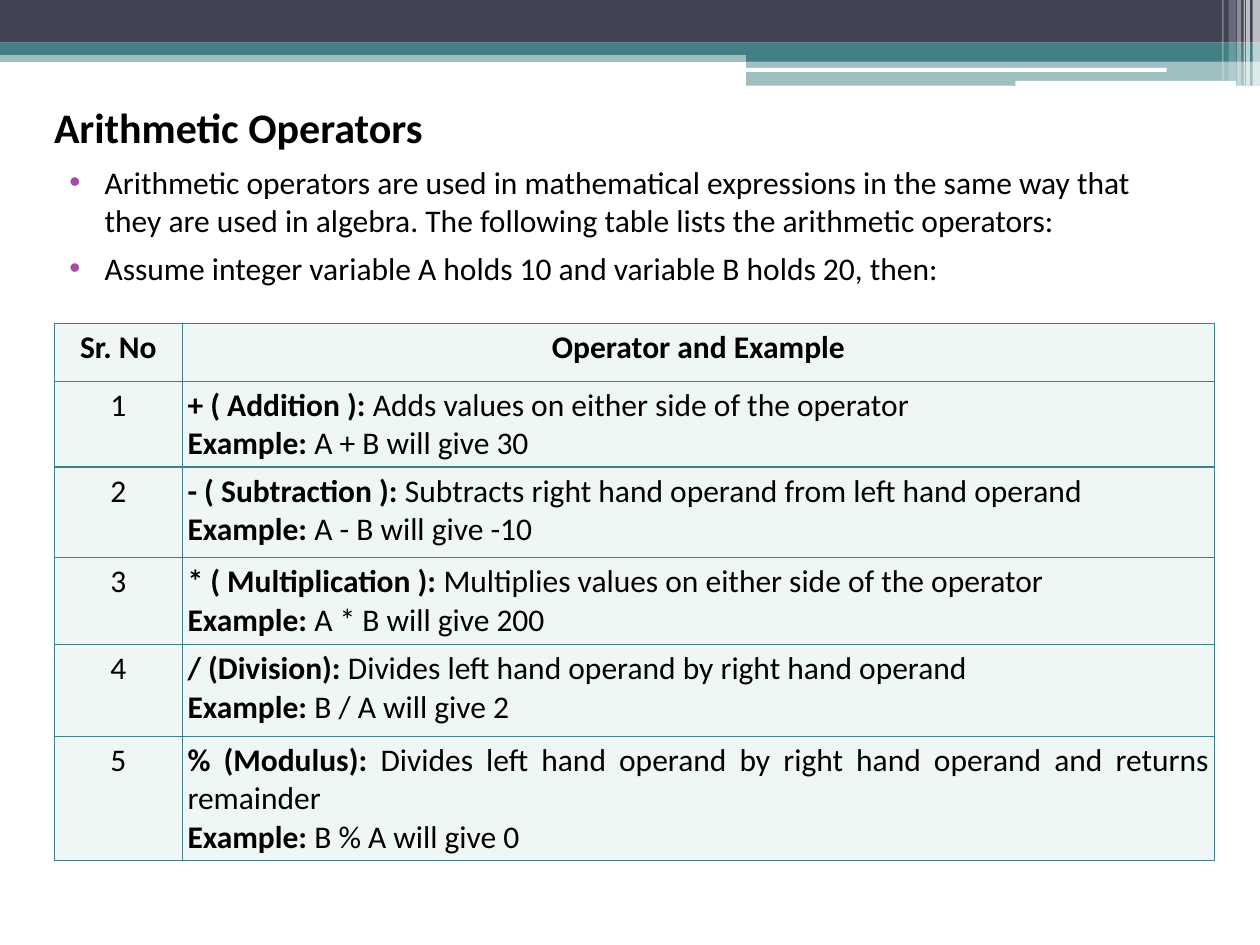
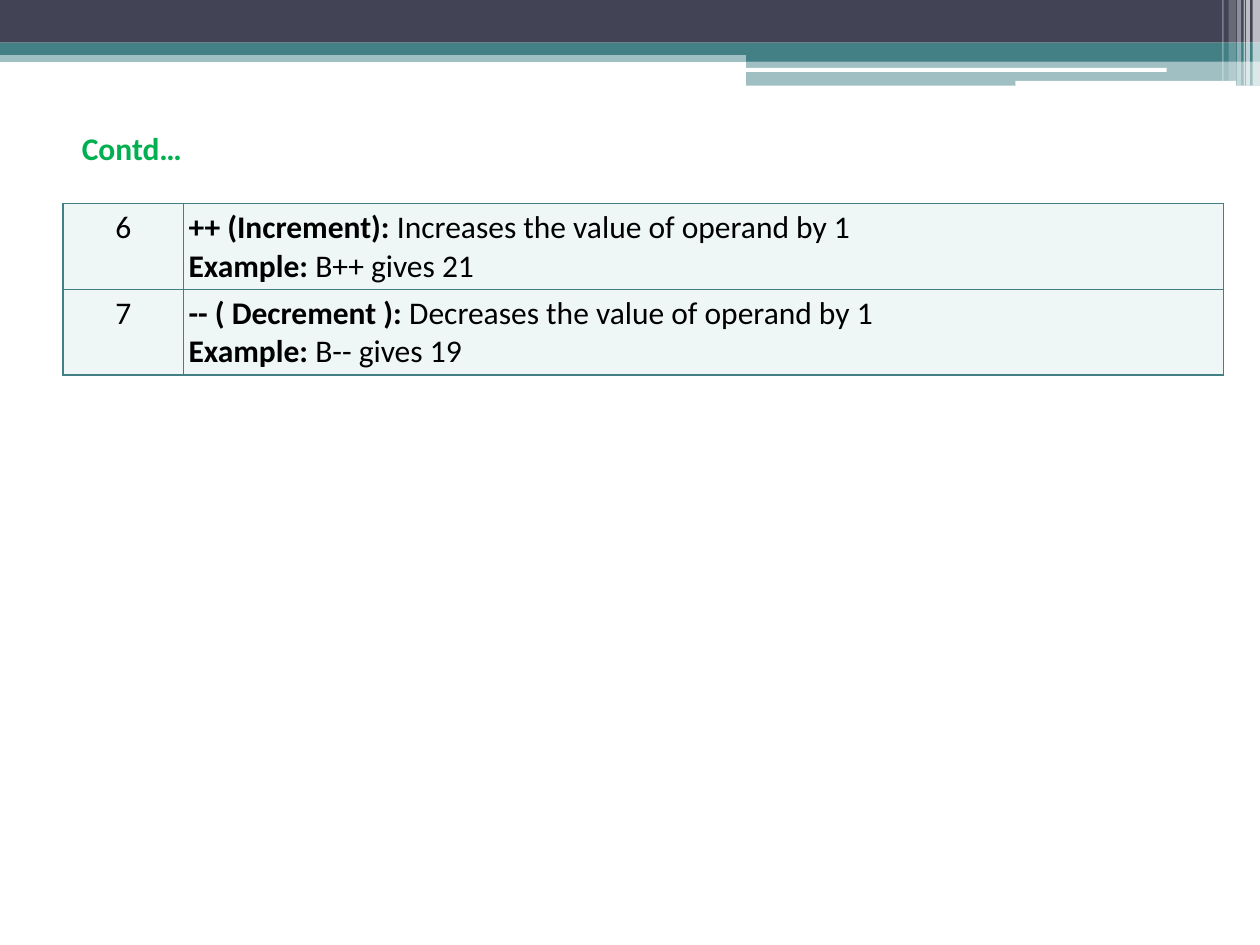
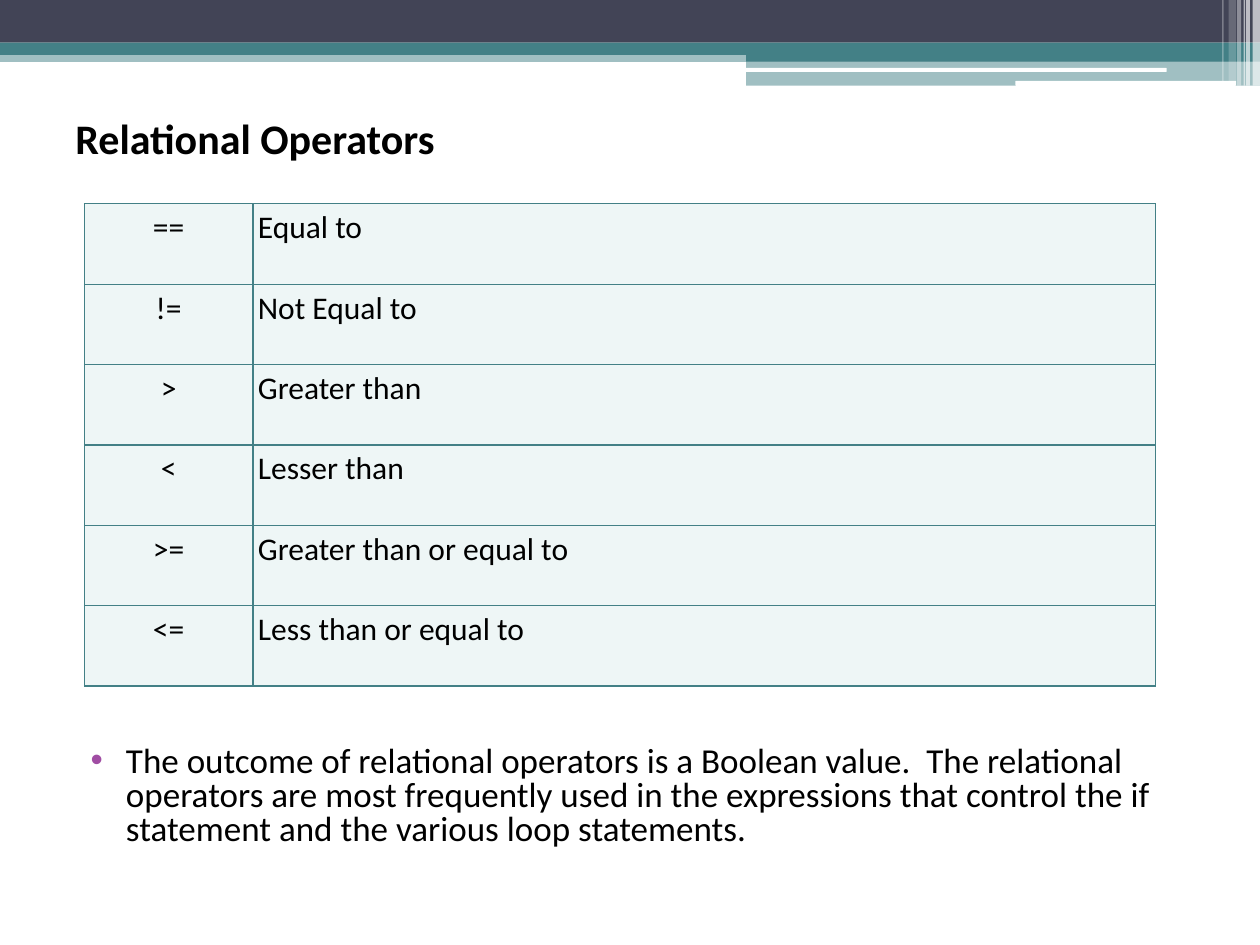
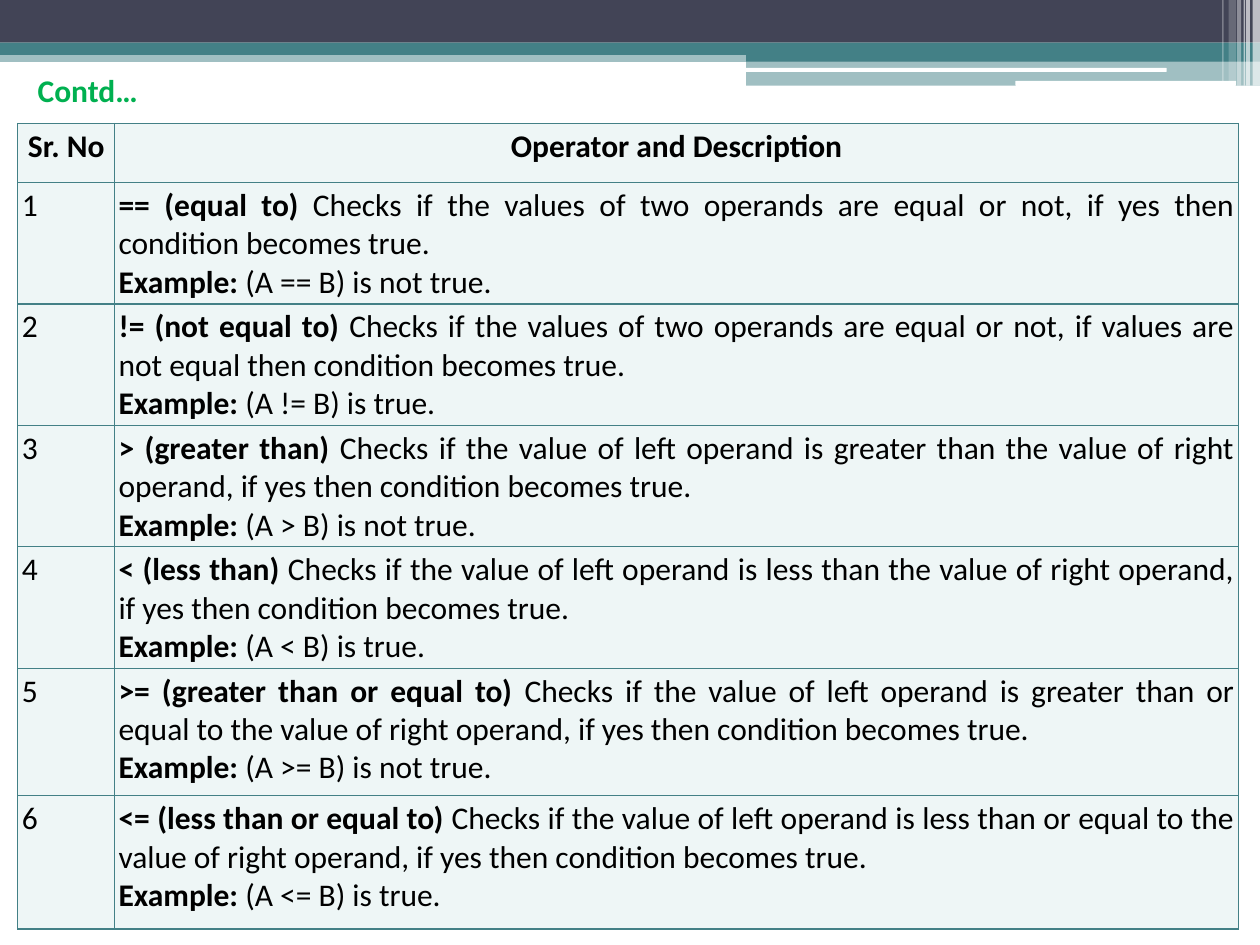
from lxml.etree import SubElement
from pptx import Presentation
from pptx.dml.color import RGBColor
from pptx.enum.shapes import MSO_SHAPE
from pptx.enum.text import MSO_ANCHOR, PP_ALIGN
from pptx.oxml.ns import qn
from pptx.util import Cm, Pt

FONT = "Calibri"
NAVY, TEAL, WHITE, BLACK = "424456", "438086", "FFFFFF", "000000"
GREEN, PURPLE, MINT = "00B050", "A04DA3", "EEF6F6"
NBSP = "\u00a0"


def color(value):
    return RGBColor.from_string(value)


def style_run(r, size, bold=False, fill=BLACK):
    r.font.name = FONT
    r.font.size = Pt(size)
    r.font.bold = bold
    r.font.color.rgb = color(fill)


def add_bar(s, left, top, width, height, fill, opacity=100, kind=MSO_SHAPE.RECTANGLE):
    sp = s.shapes.add_shape(kind, Cm(left), Cm(top), Cm(width), Cm(height))
    sp.shadow.inherit = False
    sp.fill.solid()
    sp.fill.fore_color.rgb = color(fill)
    sp.line.fill.background()
    if opacity < 100:
        clr = sp.element.spPr.find(qn("a:solidFill")).find(qn("a:srgbClr"))
        SubElement(clr, qn("a:alpha"), val=str(opacity * 1000))


def add_band(s, left, top, width):
    tab_width = 10.36
    tab = left + width - tab_width
    add_bar(s, left, top + 1.02, width, 0.23, TEAL, 50)
    add_bar(s, left, top, width, 0.86, NAVY)
    add_bar(s, left, top + 0.86, width, 0.25, TEAL)
    add_bar(s, tab, top + 0.99, tab_width, 0.25, TEAL)
    add_bar(s, tab, top + 1.22, tab_width, 0.51, TEAL, 50)
    add_bar(s, tab - 0.03, top + 1.37, 8.51, 0.08, WHITE, kind=MSO_SHAPE.ROUNDED_RECTANGLE)
    add_bar(s, tab + 5.43, top + 1.63, 4.45, 0.1, WHITE, kind=MSO_SHAPE.ROUNDED_RECTANGLE)
    stripes = [
        (0.15, 0.15, 1.73, 65),
        (0.28, 0.08, 1.73, 65),
        (0.33, 0.03, 1.73, 60),
        (0.46, 0.08, 1.73, 40),
        (0.63, 0.15, 1.63, 20),
        (0.76, 0.03, 1.63, 30),
    ]
    for inset, stripe_width, height, opacity in stripes:
        add_bar(s, left + width - inset, top, stripe_width, height, WHITE, opacity)


def add_text_box(s, left, top, width, height):
    tf = s.shapes.add_textbox(Cm(left), Cm(top), Cm(width), Cm(height)).text_frame
    tf.word_wrap = True
    return tf


def add_bullet(p):
    pPr = p._p.get_or_add_pPr()
    pPr.set("marL", str(Cm(1.02)))
    pPr.set("indent", str(-Cm(0.71)))
    SubElement(SubElement(pPr, qn("a:buClr")), qn("a:srgbClr"), val=PURPLE)
    SubElement(pPr, qn("a:buFont"), typeface="Arial")
    SubElement(pPr, qn("a:buChar"), char="\u2022")


def add_body(s, left, top, width, height, title, bullets, size, first_gap=6, spacing=None):
    tf = add_text_box(s, left, top, width, height)
    for i, text in enumerate([title] + bullets):
        p = tf.paragraphs[0] if i == 0 else tf.add_paragraph()
        p.text = text
        p.space_before = Pt(first_gap if i == 1 else 6)
        if spacing:
            p.line_spacing = spacing
        if i:
            add_bullet(p)
        style_run(p.runs[0], size if i else 24, bold=i == 0)


def add_contd(s, left, top, width, height):
    tf = add_text_box(s, left, top, width, height)
    tf.vertical_anchor = MSO_ANCHOR.MIDDLE
    tf.text = "Contd\u2026"
    style_run(tf.paragraphs[0].runs[0], 18, True, GREEN)


def style_cell(cell, margin):
    cell.margin_left = cell.margin_right = Cm(margin)
    cell.margin_top = cell.margin_bottom = Cm(margin)
    tcPr = cell._tc.get_or_add_tcPr()
    for side in ("lnL", "lnR", "lnT", "lnB"):
        ln = SubElement(tcPr, qn("a:" + side), w=str(Pt(0.75)))
        SubElement(SubElement(ln, qn("a:solidFill")), qn("a:srgbClr"), val=TEAL)
    cell.fill.solid()
    cell.fill.fore_color.rgb = color(MINT)


def fill_cell(cell, lines, align):
    tf = cell.text_frame
    for i, (strong, plain) in enumerate(lines):
        p = tf.paragraphs[0] if i == 0 else tf.add_paragraph()
        p.alignment = align
        for text, bold in ((strong, True), (plain, False)):
            if text:
                r = p.add_run()
                r.text = text
                style_run(r, 18, bold)


def add_operators(s, left, top, columns, heights, rows, header=None,
                  key_align=PP_ALIGN.CENTER, margin=0.1):
    frame = s.shapes.add_table(len(heights), 2, Cm(left), Cm(top),
                               Cm(sum(columns)), Cm(sum(heights)))
    table = frame.table
    table.first_row = table.horz_banding = False
    for column, width in zip(table.columns, columns):
        column.width = Cm(width)
    for row, height in zip(table.rows, heights):
        row.height = Cm(height)
    for cell in table.iter_cells():
        style_cell(cell, margin)
    if header:
        for i, text in enumerate(header):
            fill_cell(table.cell(0, i), [(text, "")], PP_ALIGN.CENTER)
    for i, (key, *lines) in enumerate(rows, 1 if header else 0):
        fill_cell(table.cell(i, 0), [("", key)], key_align)
        fill_cell(table.cell(i, 1), lines, PP_ALIGN.JUSTIFY)


def numbered(entries, start=1):
    return [
        (str(i), (name + " ", text), ("Example:", NBSP + example))
        for i, (name, text, example) in enumerate(entries, start)
    ]


ARITHMETIC = [
    ("+ ( Addition ):", "Adds values on either side of the operator", "A + B will give 30"),
    ("- ( Subtraction ):", "Subtracts right hand operand from left hand operand",
     "A - B will give -10"),
    ("* ( Multiplication ):", "Multiplies values on either side of the operator",
     "A * B will give 200"),
    ("/ (Division):", "Divides left hand operand by right hand operand", "B / A will give 2"),
    ("% (Modulus):", "Divides left hand operand by right hand operand and returns remainder",
     "B % A will give 0"),
]
STEPS = [
    ("++ (Increment):", "Increases the value of operand by 1", "B++ gives 21"),
    ("-- ( Decrement ):", "Decreases the value of operand by 1", "B-- gives 19"),
]
SYMBOLS = [
    ("==", "Equal to"),
    ("!=", "Not Equal to"),
    (">", "Greater than"),
    ("<", "Lesser than"),
    (">=", "Greater than or equal to"),
    ("<=", "Less than or equal to"),
]
EQUALITY = "Checks if the values of two operands are equal or not, if {} then condition becomes true."
ORDER = ("Checks if the value of left operand is {} the value of right operand, "
         "if yes then condition becomes true.")
RELATIONAL = [
    ("== (equal to)", EQUALITY.format("yes"), "(A == B) is not true."),
    ("!= (not equal to)", EQUALITY.format("values are not equal"), "(A != B) is true."),
    ("> (greater than)", ORDER.format("greater than"), "(A > B) is not true."),
    ("< (less than)", ORDER.format("less than"), "(A < B) is true."),
    (">= (greater than or equal to)", ORDER.format("greater than or equal to"),
     "(A >= B) is not true."),
    ("<= (less than or equal to)", ORDER.format("less than or equal to"), "(A <= B) is true."),
]

prs = Presentation()
prs.slide_width, prs.slide_height = Cm(25.4), Cm(19.05)
blank = prs.slide_layouts[6]
for ph in list(blank.placeholders):
    ph.element.getparent().remove(ph.element)

s = prs.slides.add_slide(blank)
add_band(s, 0, 0, 25.4)
for sp in list(s.shapes):
    blank.shapes.element.append(sp.element)

add_body(s, 0.84, 1.93, 22.86, 4.39, "Arithmetic Operators", [
    "Arithmetic operators are used in mathematical expressions in the same way that they are "
    "used in algebra. The following table lists the arithmetic operators:",
    "Assume integer variable A holds 10 and variable B holds 20, then:",
], 18)
add_operators(s, 1.09, 6.52, [2.59, 20.8], [1.17, 1.63, 1.83, 1.75, 1.85, 2.51],
              numbered(ARITHMETIC), ("Sr. No", "Operator and Example"))

s = prs.slides.add_slide(blank)
add_operators(s, 1.27, 4.11, [2.43, 20.97], [1.63] * 2, numbered(STEPS, 6))
add_contd(s, 1.4, 2.26, 11.71, 1.45)

s = prs.slides.add_slide(blank)
add_body(s, 1.27, 2.34, 22.86, 15.6, "Relational Operators", [
    "The outcome of relational operators is a Boolean value.  The relational operators are "
    "most frequently used in the expressions that control the if statement and the various "
    "loop statements.",
], 20, first_gap=334, spacing=0.8)
add_operators(s, 1.7, 4.11, [3.4, 18.19], [1.62] * 6,
              [(symbol, ("", meaning)) for symbol, meaning in SYMBOLS])

s = prs.slides.add_slide(blank)
add_operators(s, 0.36, 2.49, [1.95, 22.66], [1.19] + [2.39] * 4 + [2.57, 2.69],
              numbered(RELATIONAL), ("Sr. No", "Operator and Description"),
              PP_ALIGN.LEFT, 0.08)
add_contd(s, 0.51, 1.32, 4.9, 0.99)

prs.save("out.pptx")
